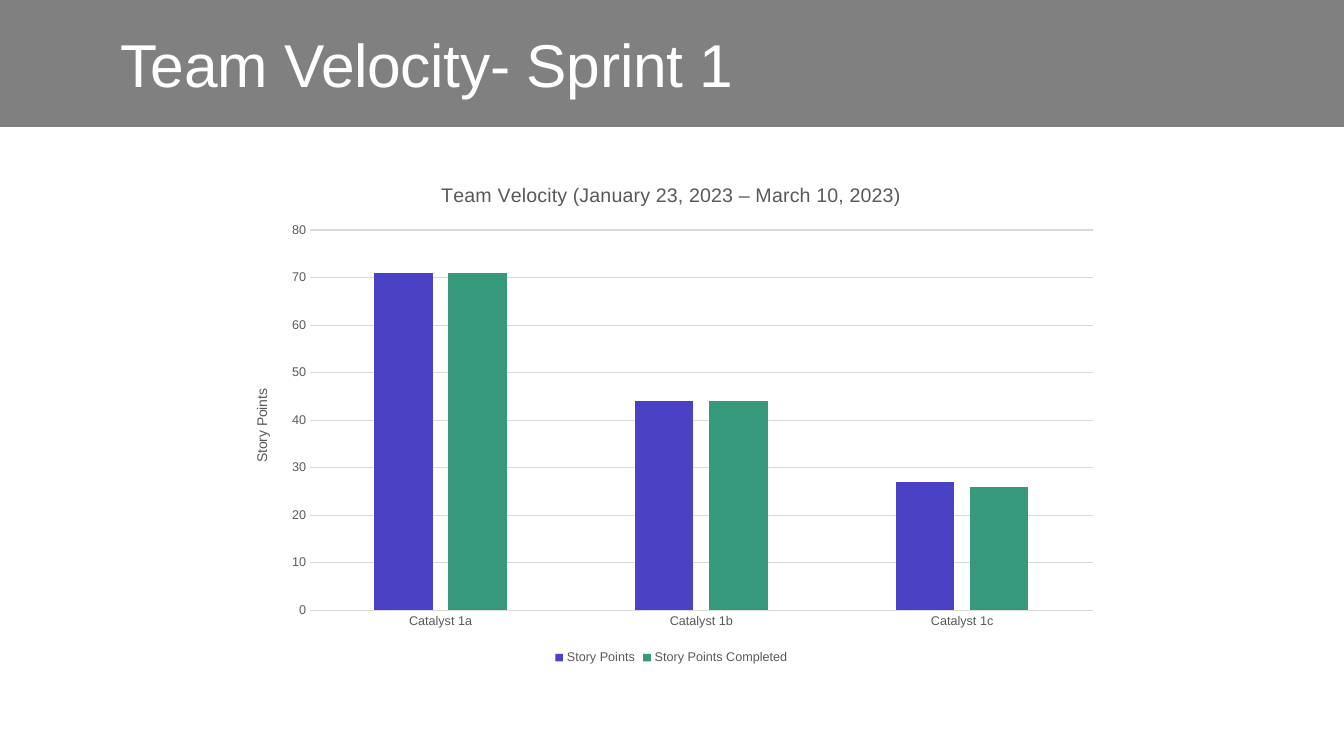
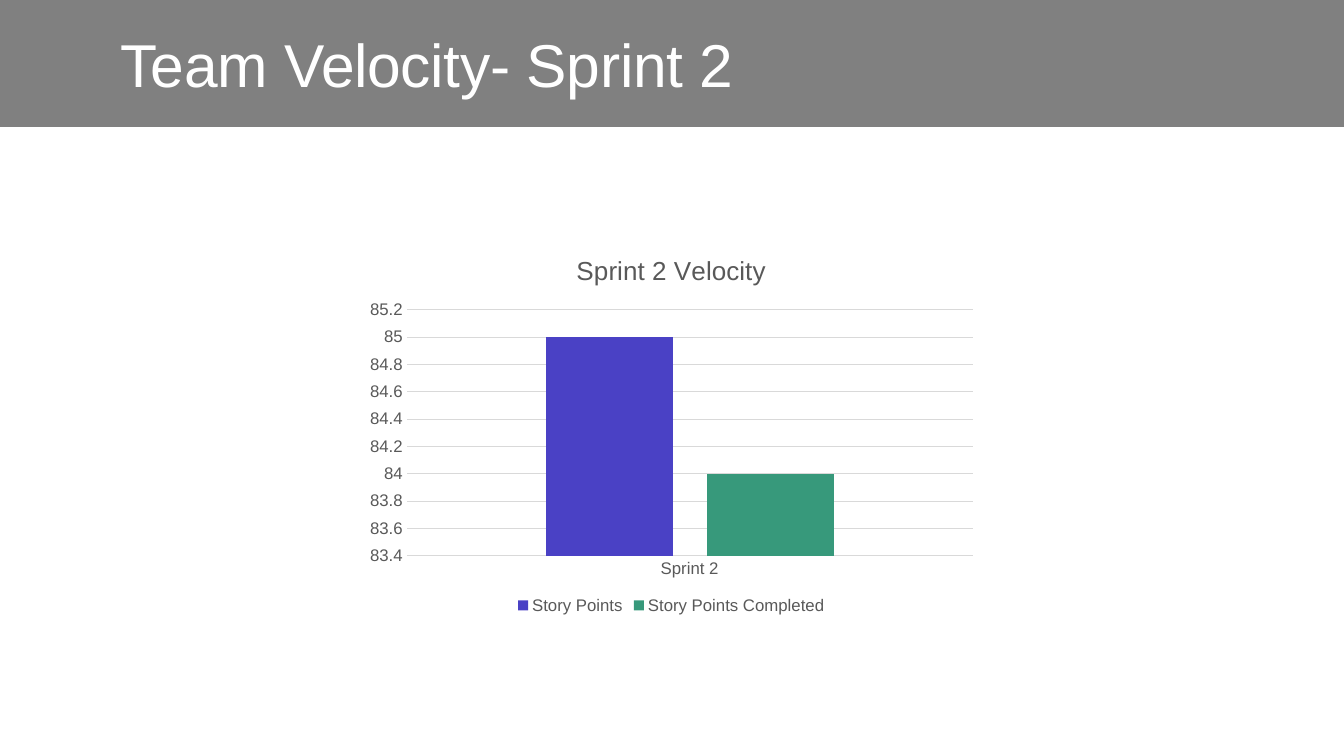
from dataclasses import dataclass

from pptx import Presentation
from pptx.chart.data import CategoryChartData
from pptx.dml.color import RGBColor
from pptx.enum.chart import XL_CHART_TYPE, XL_LEGEND_POSITION, XL_TICK_MARK
from pptx.enum.shapes import MSO_SHAPE
from pptx.enum.text import MSO_ANCHOR, MSO_AUTO_SIZE, PP_ALIGN
from pptx.util import Inches, Pt

WIDE, HIGH = Inches(13.33), Inches(7.5)
TITLE_ONLY = 5


@dataclass(frozen=True)
class Theme:
    """Colours and type sizes of the deck."""
    face: str = "Arial"
    band: str = "808080"
    light: str = "FFFFFF"
    text: str = "595959"
    grid: str = "D9D9D9"
    bars: tuple = ("4A41C5", "37997B")
    head: float = 43.2
    rule: float = 0.75


THEME = Theme()


@dataclass(frozen=True)
class Plot:
    """Content, box and scale of one velocity chart."""
    title: str
    cats: tuple
    done: tuple
    box: tuple
    scale: tuple
    size: float
    head: float
    label: str = ""


def style(font, size, tone=THEME.text):
    """Set face, size and colour of a font."""
    font.name, font.size, font.bold = THEME.face, Pt(size), False
    font.color.rgb = RGBColor.from_string(tone)


def paint(line):
    """Draw a line as a thin grey rule."""
    line.color.rgb = RGBColor.from_string(THEME.grid)
    line.width = Pt(THEME.rule)


def fill(fmt, tone):
    """Give a shape or series a solid fill and no outline."""
    fmt.fill.solid()
    fmt.fill.fore_color.rgb = RGBColor.from_string(tone)
    fmt.line.fill.background()


def share(box):
    """Turn shares of the slide into left, top, width, height."""
    return [int(part * side) for part, side in zip(box, (WIDE, HIGH) * 2)]


def add_band(slide):
    """Place the title band on the slide's layout, behind its title."""
    band = slide.shapes.add_shape(MSO_SHAPE.RECTANGLE, *share((0, 0, 1, 0.168)))
    band.shadow.inherit = False
    fill(band, THEME.band)
    slide.slide_layout.shapes.element.insert(2, band.element)


def add_title(slide, text):
    """Move, fill and format the title placeholder."""
    title = slide.shapes.title
    spot = share((0.0825, 0.028, 0.773, 0.112))
    title.left, title.top, title.width, title.height = spot
    frame = title.text_frame
    frame.auto_size = MSO_AUTO_SIZE.NONE
    frame.vertical_anchor = MSO_ANCHOR.MIDDLE
    para = frame.paragraphs[0]
    para.alignment = PP_ALIGN.LEFT
    run = para.add_run()
    run.text = text
    style(run.font, THEME.head, THEME.light)
    run._r.get_or_add_rPr().set("spc", "-20")


def add_label(owner, text, size):
    """Write the title of a chart or an axis."""
    run = owner.text_frame.paragraphs[0].add_run()
    run.text = text
    style(run.font, size)


def set_axes(chart, plot):
    """Format both axes and fix the value scale."""
    cat, val = chart.category_axis, chart.value_axis
    for axis in (cat, val):
        axis.major_tick_mark = axis.minor_tick_mark = XL_TICK_MARK.NONE
        style(axis.tick_labels.font, plot.size)
    paint(cat.format.line)
    val.format.line.fill.background()
    val.has_major_gridlines = True
    paint(val.major_gridlines.format.line)
    val.minimum_scale, val.maximum_scale, val.major_unit = plot.scale
    val.tick_labels.number_format = "General"
    val.tick_labels.number_format_is_linked = False
    if plot.label:
        add_label(val.axis_title, plot.label, 10)


def add_plot(slide, plot):
    """Add a clustered column chart of planned and completed points."""
    data = CategoryChartData()
    data.categories = plot.cats
    for name, vals in zip(("Story Points", "Story Points Completed"), plot.done):
        data.add_series(name, vals)
    chart = slide.shapes.add_chart(
        XL_CHART_TYPE.COLUMN_CLUSTERED, *share(plot.box), data).chart
    style(chart.font, 10)
    chart.has_title = True
    add_label(chart.chart_title, plot.title, plot.head)
    chart.chart_title.include_in_layout = False
    set_axes(chart, plot)
    chart.has_legend = True
    chart.legend.position = XL_LEGEND_POSITION.BOTTOM
    chart.legend.include_in_layout = False
    style(chart.legend.font, plot.size)
    bars = chart.plots[0]
    bars.gap_width, bars.overlap, bars.vary_by_categories = 219, -27, False
    for row, tone in zip(bars.series, THEME.bars):
        fill(row.format, tone)
        row.invert_if_negative = False


def main():
    """Build and save the deck."""
    deck = Presentation()
    deck.slide_width, deck.slide_height = WIDE, HIGH
    plots = (
        Plot("Team Velocity (January 23, 2023 – March 10, 2023)",
             ("Catalyst 1a", "Catalyst 1b", "Catalyst 1c"),
             ((71, 44, 27), (71, 44, 26)),
             (0.173, 0.216, 0.653, 0.669), (0, 80, 10), 9, 14, "Story Points"),
        Plot("Sprint 2 Velocity", ("Sprint 2",), ((85,), (84,)),
             (0.266, 0.311, 0.467, 0.507), (83.4, 85.2, 0.2), 12, 18.6),
    )
    for count, plot in enumerate(plots, 1):
        slide = deck.slides.add_slide(deck.slide_layouts[TITLE_ONLY])
        if count == 1:
            add_band(slide)
        add_title(slide, f"Team Velocity- Sprint {count}")
        add_plot(slide, plot)
    deck.save("out.pptx")


main()
